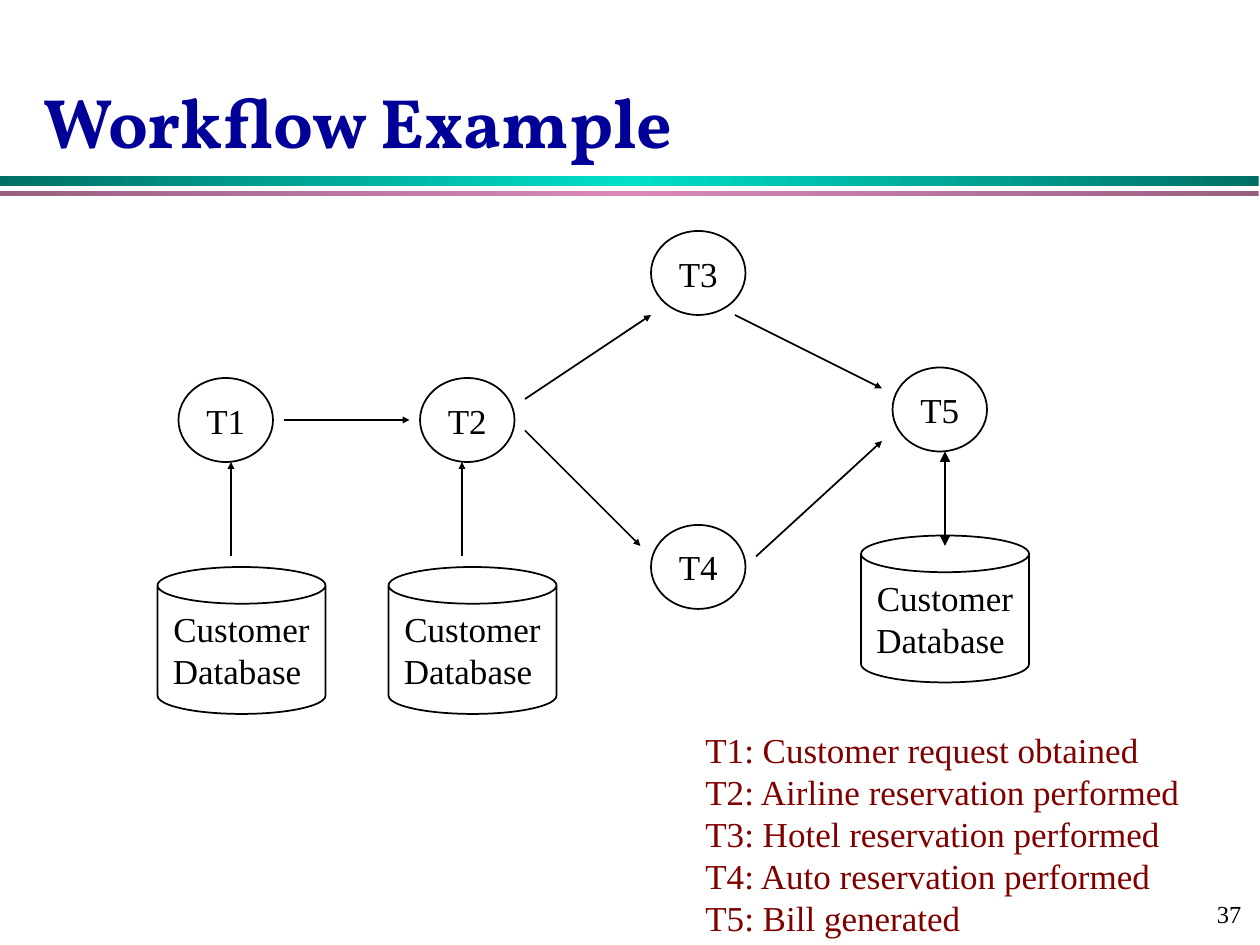
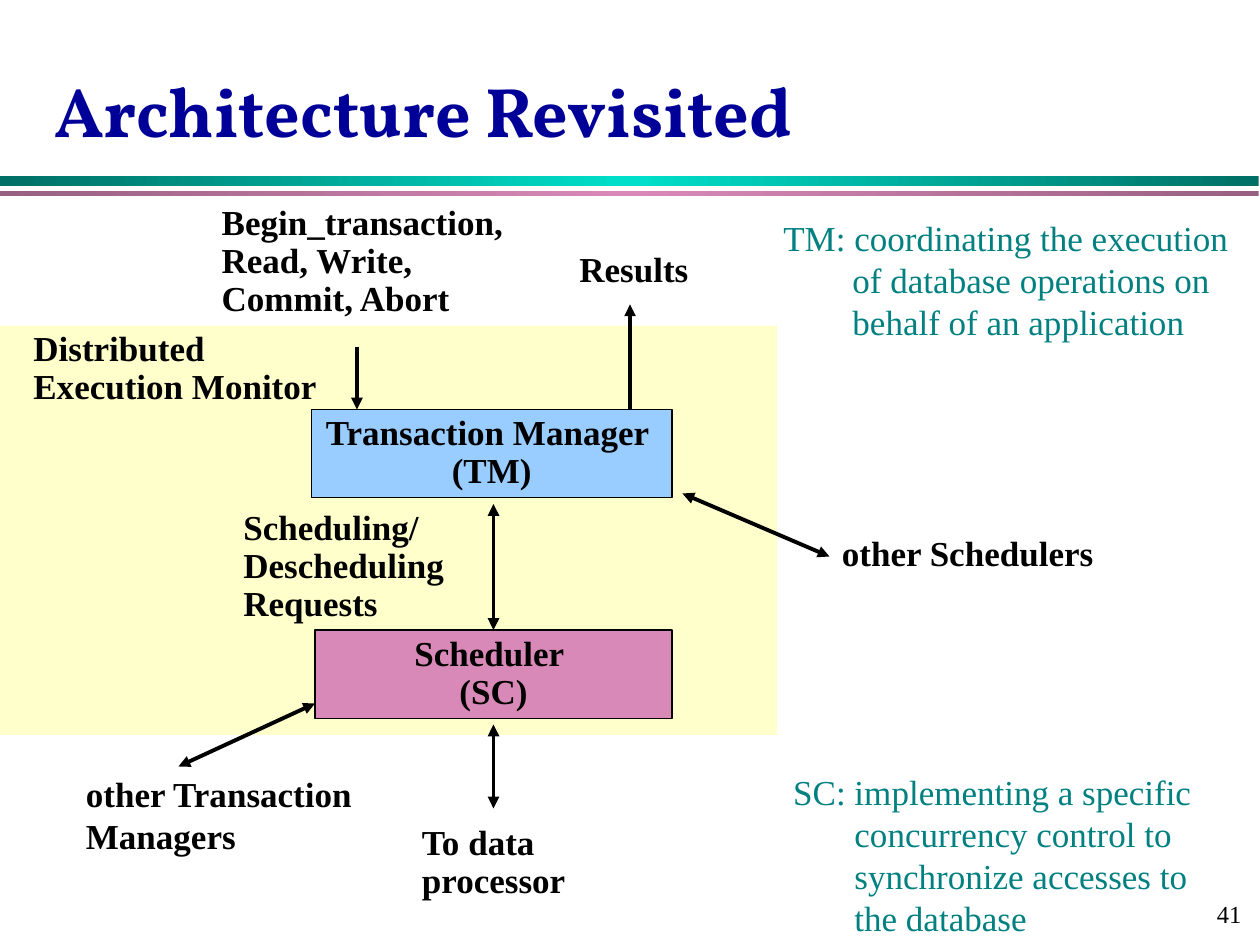
from copy import deepcopy
from dataclasses import dataclass

from lxml.etree import SubElement
from pptx import Presentation
from pptx.dml.color import RGBColor
from pptx.enum.shapes import MSO_CONNECTOR, MSO_SHAPE
from pptx.enum.text import MSO_ANCHOR as ANCHOR, MSO_AUTO_SIZE as FIT, PP_ALIGN as ALIGN
from pptx.oxml.ns import qn
from pptx.shapes.autoshape import Shape
from pptx.slide import Slide
from pptx.util import Pt

BLACK = RGBColor(0x00, 0x00, 0x00)
WHITE = RGBColor(0xFF, 0xFF, 0xFF)
NAVY = RGBColor(0x00, 0x00, 0x99)
MAROON = RGBColor(0x80, 0x00, 0x00)
TEAL = RGBColor(0x00, 0x80, 0x80)
DARK_GREEN = RGBColor(0x00, 0x6F, 0x65)
TURQUOISE = RGBColor(0x00, 0xDF, 0xCA)
PLUM = RGBColor(0x97, 0x60, 0x80)
PINK = RGBColor(0xD9, 0x89, 0xB8)
SKY = RGBColor(0x99, 0xCC, 0xFF)
CREAM = RGBColor(0xFF, 0xFF, 0xCC)

BODY_FONT = "Times New Roman"
TITLE_FONT = "Vollkorn"


@dataclass
class Box:
    left: float
    top: float
    width: float
    height: float


@dataclass
class TextStyle:
    size: float = 20
    font: str = BODY_FONT
    color: RGBColor = BLACK
    bold: bool = False
    align: ALIGN = ALIGN.LEFT
    anchor: ANCHOR = ANCHOR.TOP
    spacing: float = 1.0
    wrap: bool = False
    hang: float = 0


@dataclass
class Label:
    text: str
    box: Box
    style: TextStyle


@dataclass
class Block:
    kind: MSO_SHAPE
    box: Box
    fill: RGBColor
    text: str = ""
    style: TextStyle | None = None
    line: float = 0


@dataclass
class Arrow:
    x1: float
    y1: float
    x2: float
    y2: float
    width: float
    both: bool = False
    head: str = "med"


@dataclass
class Band:
    top: float
    height: float
    edge: RGBColor
    middle: RGBColor


BANDS = [Band(100.8, 5.76, DARK_GREEN, TURQUOISE), Band(109.44, 2.88, PLUM, PINK)]

NODE_TEXT = TextStyle(align=ALIGN.CENTER, anchor=ANCHOR.MIDDLE)
PAGE_TEXT = TextStyle(size=14, align=ALIGN.RIGHT, anchor=ANCHOR.MIDDLE)
LEGEND_TEXT = TextStyle(color=MAROON, wrap=True)
BOLD = TextStyle(bold=True)
BOLD_TIGHT = TextStyle(bold=True, spacing=0.9)
BOLD_TIGHT_WRAPPED = TextStyle(bold=True, spacing=0.9, wrap=True)
MODULE_TEXT = TextStyle(bold=True, spacing=0.9, align=ALIGN.CENTER)


def write(sp: Shape, text: str, style: TextStyle) -> None:
    tf = sp.text_frame
    tf.text = text
    tf.word_wrap = style.wrap
    tf.vertical_anchor = style.anchor
    for p in tf.paragraphs:
        p.alignment = style.align
        p.line_spacing = style.spacing
        if style.hang:
            pPr = p._p.get_or_add_pPr()
            pPr.set("marL", str(Pt(style.hang)))
            pPr.set("indent", str(-Pt(style.hang)))
        for r in p.runs:
            r.font.size = Pt(style.size)
            r.font.name = style.font
            r.font.bold = style.bold
            r.font.color.rgb = style.color


def place(box: Box) -> tuple[Pt, Pt, Pt, Pt]:
    return Pt(box.left), Pt(box.top), Pt(box.width), Pt(box.height)


def add_label(s: Slide, label: Label) -> None:
    sp = s.shapes.add_textbox(*place(label.box))
    write(sp, label.text, label.style)
    if not label.style.wrap and label.style.anchor == ANCHOR.TOP:
        sp.text_frame.auto_size = FIT.SHAPE_TO_FIT_TEXT


def add_block(s: Slide, block: Block) -> None:
    sp = s.shapes.add_shape(block.kind, *place(block.box))
    sp.shadow.inherit = False
    sp.fill.solid()
    sp.fill.fore_color.rgb = block.fill
    if block.line:
        sp.line.color.rgb = BLACK
        sp.line.width = Pt(block.line)
    else:
        sp.line.fill.background()
    if block.style:
        write(sp, block.text, block.style)


def add_arrow(s: Slide, a: Arrow) -> None:
    """Draw a line with a head at its end, or at both ends."""
    line = s.shapes.add_connector(
        MSO_CONNECTOR.STRAIGHT, Pt(a.x1), Pt(a.y1), Pt(a.x2), Pt(a.y2))
    line.line.color.rgb = BLACK
    line.line.width = Pt(a.width)
    ln = line.line._get_or_add_ln()
    for end in ("headEnd", "tailEnd") if a.both else ("tailEnd",):
        SubElement(ln, qn(f"a:{end}"), type="triangle", w=a.head, len=a.head)
    SubElement(line._element.spPr, qn("a:effectLst"))


def add_band(s: Slide, band: Band) -> None:
    sp = s.shapes.add_shape(
        MSO_SHAPE.RECTANGLE, *place(Box(0, band.top, 719.28, band.height)))
    sp.shadow.inherit = False
    sp.line.fill.background()
    sp.fill.gradient()
    sp.fill.gradient_angle = 0
    stops = sp._element.spPr.find(f".//{qn('a:gsLst')}")
    stops.append(deepcopy(stops[0]))
    colors = (band.edge, band.middle, band.edge)
    for stop, position, color in zip(sp.fill.gradient_stops, (0, 0.5, 1), colors):
        stop.position = position
        stop.color.rgb = color


def add_page(prs: Presentation, title: str, title_box: Box, anchor: ANCHOR,
             number: int) -> Slide:
    """Add a slide with the shared bands, page number and title."""
    s = prs.slides.add_slide(prs.slide_layouts[6])
    for band in BANDS:
        add_band(s, band)
    add_label(s, Label(f"{number} ", Box(570, 504, 150, 36), PAGE_TEXT))
    style = TextStyle(40, TITLE_FONT, NAVY, bold=True, anchor=anchor, wrap=True)
    add_label(s, Label(title, title_box, style))
    return s


def build_workflow(prs: Presentation) -> None:
    s = add_page(prs, "Workflow Example", Box(18, 30, 666, 78), ANCHOR.MIDDLE, 37)
    legend = "\n".join([
        "T1: Customer request obtained",
        "T2: Airline reservation performed",
        "T3: Hotel reservation performed",
        "T4: Auto reservation performed",
        "T5: Bill generated",
    ])
    add_label(s, Label(legend, Box(396, 412.5, 360, 127.5), LEGEND_TEXT))

    tasks = [(102, 216), (240, 216), (372, 132), (372, 300), (510, 210)]
    for i, (x, y) in enumerate(tasks, 1):
        add_block(s, Block(MSO_SHAPE.OVAL, Box(x, y, 54, 48), WHITE,
                           f"T{i}", NODE_TEXT, line=1))
    for x, y in [(90, 324), (222, 324), (492, 306)]:
        add_block(s, Block(MSO_SHAPE.CAN, Box(x, y, 96, 84), WHITE,
                           "Customer\nDatabase ", NODE_TEXT, line=1))

    flows = [
        (132, 318, 132, 264),
        (264, 318, 264, 264),
        (162, 240, 234, 240),
        (300, 228, 372, 180),
        (300, 246, 366, 312),
        (420, 180, 504, 222),
        (432, 318, 504, 252),
    ]
    for flow in flows:
        add_arrow(s, Arrow(*flow, width=1, head="sm"))
    add_arrow(s, Arrow(540, 312, 540, 258, width=1, both=True))


def build_architecture(prs: Presentation) -> None:
    s = add_page(prs, "Architecture Revisited", Box(24, 24, 660, 66),
                 ANCHOR.BOTTOM, 41)
    rect = MSO_SHAPE.RECTANGLE
    blocks = [
        Block(rect, Box(0, 186, 444, 234), CREAM),
        Block(rect, Box(178, 234, 206, 50.5), SKY,
              "Transaction Manager \n(TM)", MODULE_TEXT, line=0.75),
        Block(rect, Box(180, 360, 204, 50.5), PINK,
              "Scheduler \n(SC)", MODULE_TEXT, line=0.75),
    ]
    for block in blocks:
        add_block(s, block)

    labels = [
        Label("Scheduling/ Descheduling\nRequests",
              Box(132, 288, 138, 72), BOLD_TIGHT_WRAPPED),
        Label("Begin_transaction,\nRead, Write,\nCommit, Abort",
              Box(119.6, 114, 180, 72), BOLD_TIGHT),
        Label("Results", Box(324, 138, 76.5, 31.5), BOLD),
        Label("To data\nprocessor", Box(234, 468, 96.5, 50.5), BOLD_TIGHT),
        Label("Distributed\nExecution Monitor",
              Box(12, 186, 176.5, 50.5), BOLD_TIGHT),
        Label("other Schedulers", Box(474, 300, 158.5, 31.5), BOLD),
        Label("other Transaction\nManagers", Box(42, 438, 168.5, 55.5), BOLD),
        Label("TM: coordinating the execution of database operations on "
              "behalf of an application", Box(440.6, 120, 273.6, 103.5),
              TextStyle(color=TEAL, wrap=True, hang=39.5)),
        Label("SC: implementing a specific concurrency control to "
              "synchronize accesses to the database",
              Box(446.2, 436.8, 247, 103.5),
              TextStyle(color=TEAL, wrap=True, hang=35)),
    ]
    for label in labels:
        add_label(s, label)

    exchanges = [
        (282, 288, 282, 360),
        (282, 414, 282, 462),
        (390, 282, 474, 318),
        (180, 402, 102, 438),
    ]
    for exchange in exchanges:
        add_arrow(s, Arrow(*exchange, width=2.25, both=True))
    for flow in [(204, 198, 204, 234), (360, 234, 360, 174)]:
        add_arrow(s, Arrow(*flow, width=2.25))


def main() -> None:
    prs = Presentation()
    prs.slide_width, prs.slide_height = Pt(720), Pt(540)
    build_workflow(prs)
    build_architecture(prs)
    prs.save("out.pptx")


if __name__ == "__main__":
    main()
